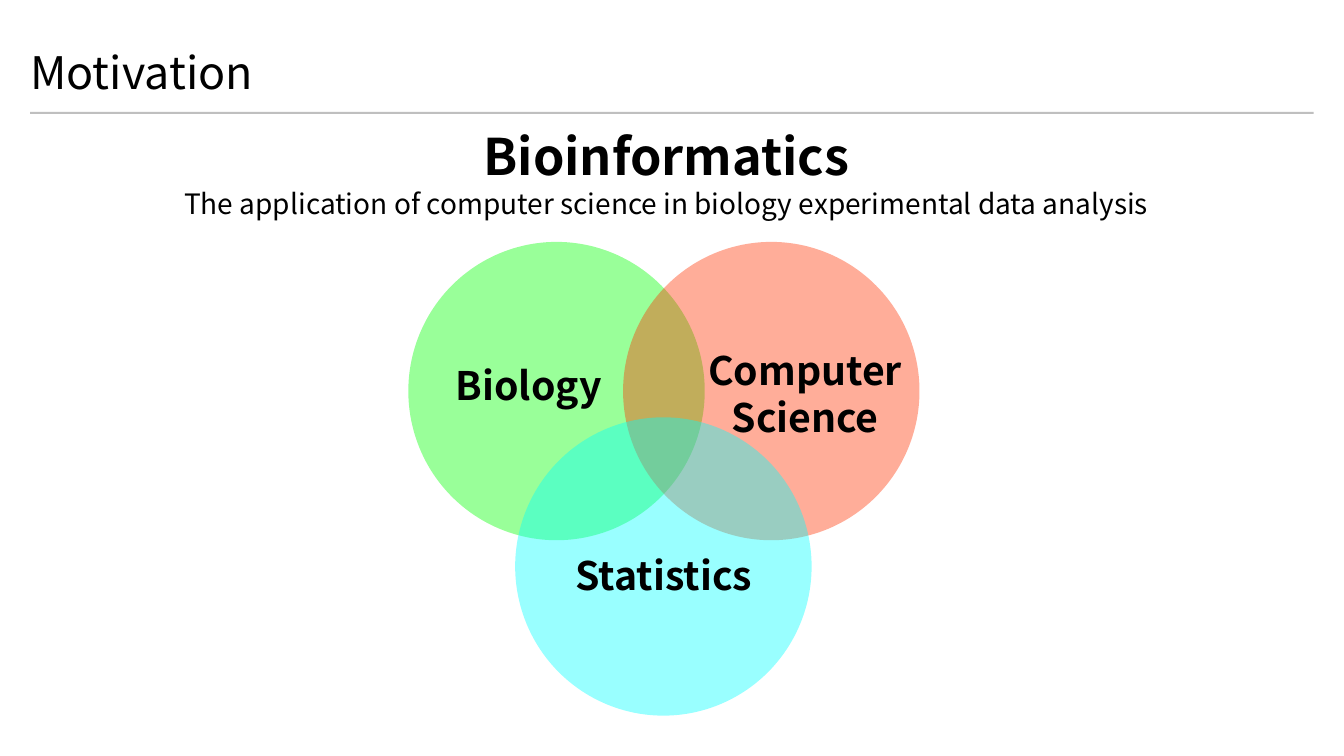
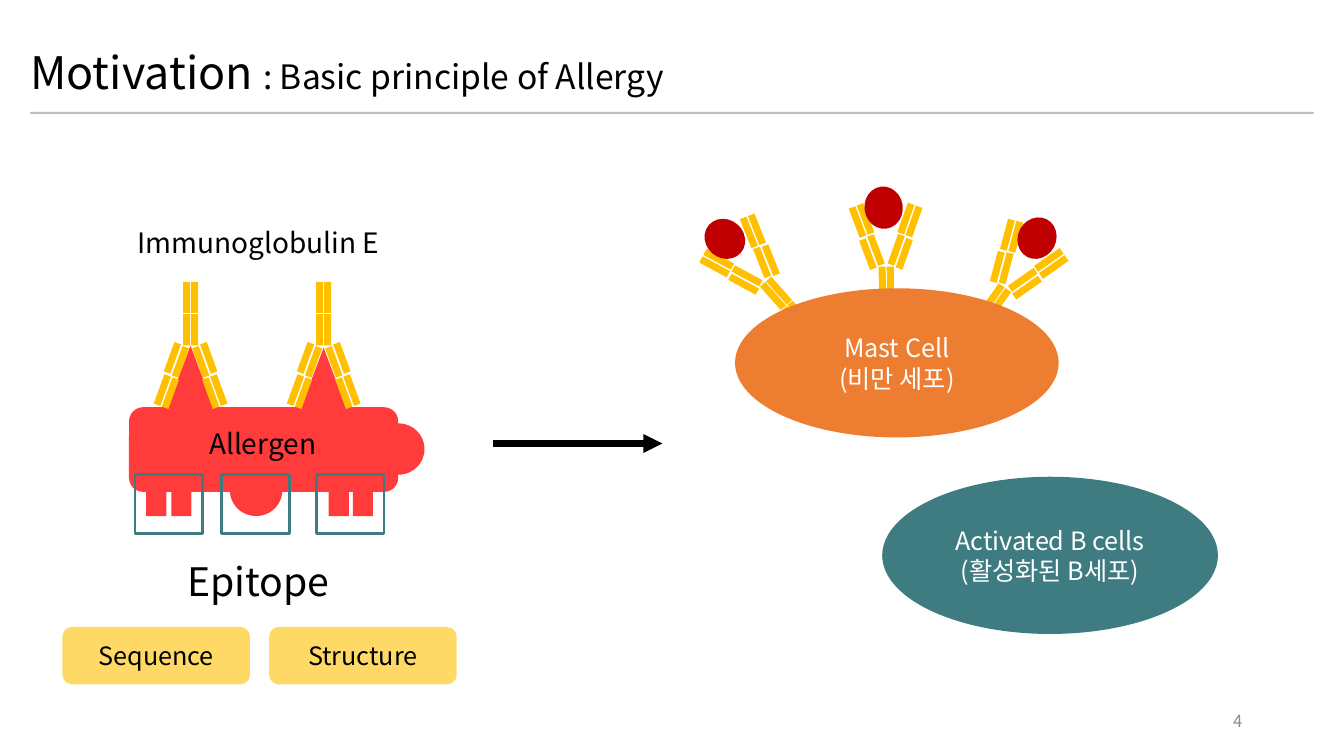
import math

from lxml import etree
from pptx import Presentation
from pptx import util as u
from pptx.dml.color import RGBColor
from pptx.enum import shapes, text
from pptx.oxml.ns import qn

FONT = "Noto Sans CJK KR"
COLORS = {
    "ink": "000000", "white": "FFFFFF", "rule": "BFBFBF", "number": "8C8C8C",
    "biology": "00FF00", "computing": "FF3300", "statistics": "00FFFF",
    "antibody": "FFC000", "antigen": "C00000", "allergen": "FF3B3B",
    "mast": "ED7D31", "teal": "3E7C82", "tag": "FFD966",
}
KIND = shapes.MSO_SHAPE
ALIGN = text.PP_ALIGN
ANCHOR = text.MSO_ANCHOR
LINE_HEIGHT = 1.2


def color(name):
    return RGBColor.from_string(COLORS[name])


def inches(*lengths):
    return [u.Inches(length) for length in lengths]


def assign(target, values):
    for name, value in values.items():
        setattr(target, name, value)


# Text: each line is a list of (wording, size) spans
def write(frame, lines, ink="ink", align=ALIGN.CENTER, bold=False, **frame_format):
    assign(frame, {"word_wrap": True, **frame_format})
    for index, line in enumerate(lines):
        para = frame.paragraphs[0] if index == 0 else frame.add_paragraph()
        tallest = max(size for wording, size in line)
        assign(para, {"alignment": align, "line_spacing": u.Pt(tallest * LINE_HEIGHT)})
        for wording, size in line:
            span = para.add_run()
            span.text = wording
            assign(span.font, {"name": FONT, "size": u.Pt(size), "bold": bold})
            span.font.color.rgb = color(ink)
            east_asian = etree.SubElement(span.font._element, qn("a:ea"))
            east_asian.set("typeface", FONT)


def add_text(page, at, lines, **text_format):
    box = page.shapes.add_textbox(*inches(*at))
    write(box.text_frame, lines, **text_format)


# Shapes
def add_shape(canvas, kind, at, fill=None, opacity=None, outline=None, turn=0):
    shape = canvas.add_shape(kind, *inches(*at))
    assign(shape, {"rotation": turn % 360})
    shape.shadow.inherit = False
    if fill:
        shape.fill.solid()
        shape.fill.fore_color.rgb = color(fill)
    else:
        shape.fill.background()
    if outline:
        shape.line.color.rgb = color(outline)
        shape.line.width = u.Pt(2)
    else:
        shape.line.fill.background()
    if opacity:
        tint = shape._element.spPr.find(qn("a:solidFill"))[0]
        etree.SubElement(tint, qn("a:alpha")).set("val", str(opacity * 1000))
    return shape


def add_label_shape(page, kind, at, fill, wordings, ink):
    shape = add_shape(page.shapes, kind, at, fill)
    lines = [[(wording, 18)] for wording in wordings]
    write(shape.text_frame, lines, ink, vertical_anchor=ANCHOR.MIDDLE)


def add_arrow(page, start, end, width):
    arrow = page.shapes.add_connector(
        shapes.MSO_CONNECTOR.STRAIGHT, *inches(*start, *end))
    arrow.line.color.rgb = color("ink")
    arrow.line.width = u.Pt(width)
    etree.SubElement(arrow.line._get_or_add_ln(), qn("a:tailEnd")).set("type", "triangle")
    etree.SubElement(arrow._element.spPr, qn("a:effectLst"))


# Antibody: strips placed around its fork, all turned together
def add_antibody(page, fork, turn, with_antigen=False):
    canvas = page.shapes.add_group_shape().shapes
    angle = math.radians(turn)

    def add_part(kind, x, y, width, height, fill, lean):
        left = fork[0] + x * math.cos(angle) - y * math.sin(angle) - width / 2
        top = fork[1] + x * math.sin(angle) + y * math.cos(angle) - height / 2
        add_shape(canvas, kind, (left, top, width, height), fill, turn=turn + lean)

    stem = [(0.04, 0.16), (0.04, 0.48)]
    arm = [(0.2, -0.47), (0.1, -0.16), (0.28, -0.44), (0.18, -0.12)]
    for side in (-1, 1):
        for strips, lean in ((stem, 0), (arm, 20 * side)):
            for x, y in strips:
                add_part(KIND.RECTANGLE, side * x, y, 0.07, 0.31, "antibody", lean)
    if with_antigen:
        add_part(KIND.OVAL, -0.02, -0.58, 0.42, 0.38, "antigen", 262.6)


# Shared page: title over a thin rule
def add_page(deck, title):
    page = deck.slides.add_slide(deck.slide_layouts[6])
    add_shape(page.shapes, KIND.RECTANGLE, (0.3, 1.11, 12.73, 0.02), "rule")
    margins = dict.fromkeys(
        ("margin_left", "margin_top", "margin_right", "margin_bottom"), 0)
    add_text(page, (0.3, 0.44, 12.73, 0.54), [title], align=ALIGN.LEFT, **margins)
    return page


def build_venn(deck):
    page = add_page(deck, [("Motivation", 32)])
    add_text(page, (4.55, 1.19, 4.12, 0.71), [[("Bioinformatics", 36)]], bold=True)

    # Overlapping fields
    for left, top, fill in ((4.05, 2.4, "biology"), (6.18, 2.4, "computing"),
                            (5.11, 4.14, "statistics")):
        add_shape(page.shapes, KIND.OVAL, (left, top, 2.94, 2.96), fill, opacity=40)
    for left, top, height, wordings in (
            (3.32, 3.54, 0.54, ["Biology"]),
            (6.06, 3.39, 0.98, ["Computer", "Science"]),
            (4.66, 5.42, 0.54, ["Statistics"])):
        lines = [[(wording, 28)] for wording in wordings]
        add_text(page, (left, top, 3.85, height), lines, bold=True)

    summary = "The application of computer science in biology experimental data analysis"
    add_text(page, (1.57, 1.8, 10.08, 0.44), [[(summary, 20)]])


def build_allergen(page):
    # Body, binding tips and antibodies
    add_shape(page.shapes, KIND.ROUNDED_RECTANGLE, (1.28, 4.04, 2.67, 0.84), "allergen")
    for axis, tip_top in ((1.89, 3.43), (3.21, 3.45)):
        add_shape(page.shapes, KIND.ISOSCELES_TRIANGLE,
                  (axis - 0.23, tip_top, 0.46, 0.61), "allergen")
        add_antibody(page, (axis, 3.43), 180)

    # Bumps and feet
    for left, top in ((3.69, 4.2), (2.28, 4.61)):
        add_shape(page.shapes, KIND.OVAL, (left, top, 0.52, 0.51), "allergen")
    for left in (3.26, 3.5, 1.45, 1.7):
        add_shape(page.shapes, KIND.RECTANGLE, (left, 4.71, 0.2, 0.41), "allergen")

    # Epitope frames
    for left in (3.14, 2.2, 1.34):
        add_shape(page.shapes, KIND.RECTANGLE, (left, 4.71, 0.67, 0.58), outline="teal")


def build_allergy(deck):
    page = add_page(deck, [("Motivation ", 32), (": Basic principle of Allergy", 24)])

    # Cells on the right
    for fork, turn in (((7.59, 2.79), -41.6), ((8.79, 2.64), -0.6), ((9.97, 2.85), 34.9)):
        add_antibody(page, fork, turn, with_antigen=True)
    add_label_shape(page, KIND.OVAL, (7.29, 2.86, 3.21, 1.48), "mast",
                    ["Mast Cell", "(비만 세포)"], "white")
    add_label_shape(page, KIND.OVAL, (8.75, 4.73, 3.33, 1.56), "teal",
                    ["Activated B cells", "(활성화된 B세포)"], "white")
    add_arrow(page, (4.89, 4.4), (6.57, 4.4), 4.5)

    # Allergen on the left, with its labels
    build_allergen(page)
    for at, wording, size in (
            ((1.03, 2.19, 3.07, 0.44), "Immunoglobulin E", 20),
            ((1.81, 4.18, 1.59, 0.44), "Allergen", 20),
            ((1.66, 5.48, 1.81, 0.57), "Epitope", 28)):
        add_text(page, at, [[(wording, size)]])
    for left, wording in ((0.62, "Sequence"), (2.67, "Structure")):
        add_label_shape(page, KIND.ROUNDED_RECTANGLE, (left, 6.22, 1.86, 0.57),
                        "tag", [wording], "ink")

    # Page number
    add_text(page, (9.42, 6.95, 3, 0.4), [[("4", 12)]], ink="number",
             align=ALIGN.RIGHT, vertical_anchor=ANCHOR.MIDDLE)


def main():
    deck = Presentation()
    assign(deck, {"slide_width": u.Inches(13.33), "slide_height": u.Inches(7.5)})
    build_venn(deck)
    build_allergy(deck)
    deck.save("out.pptx")


if __name__ == "__main__":
    main()
